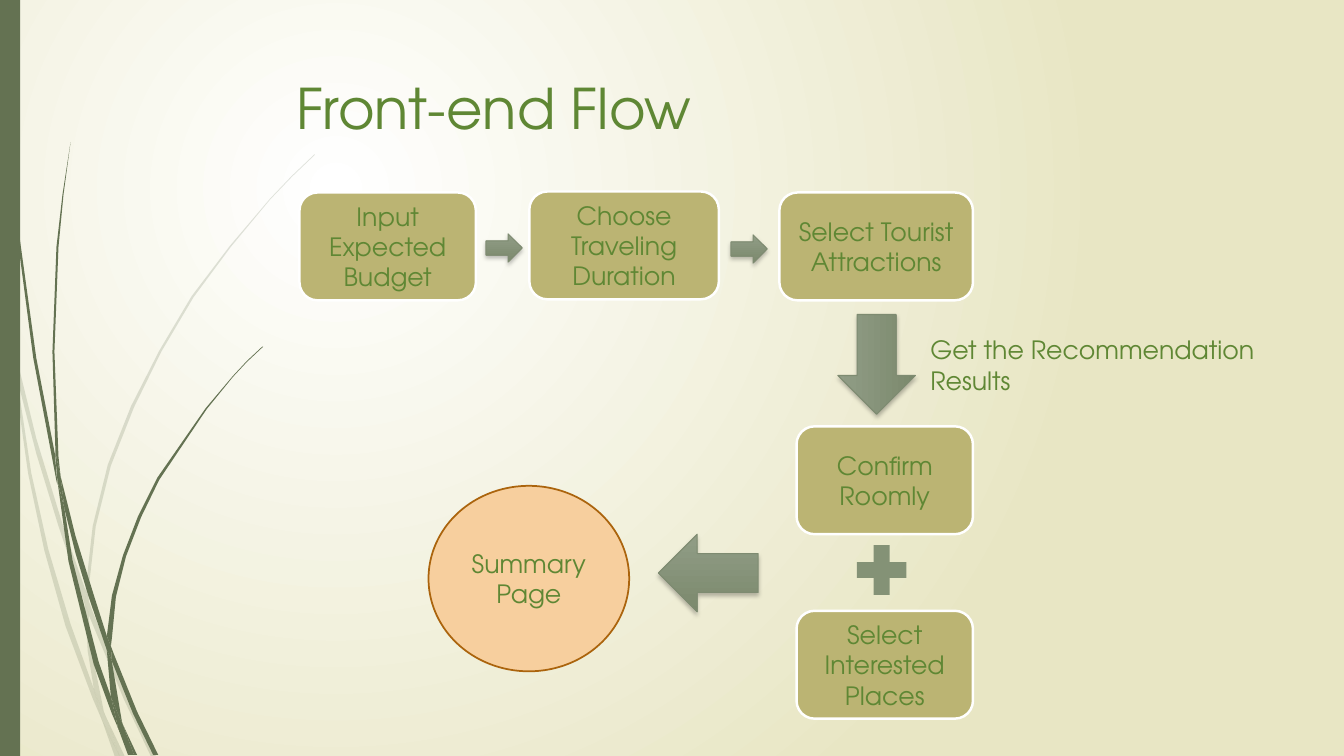
from lxml import etree
from pptx import Presentation
from pptx.dml.color import RGBColor
from pptx.enum.shapes import MSO_SHAPE
from pptx.enum.text import MSO_ANCHOR, PP_ALIGN
from pptx.oxml import parse_xml
from pptx.oxml.ns import nsdecls, qn
from pptx.util import Inches, Pt

ROUNDED = MSO_SHAPE.ROUNDED_RECTANGLE
RIGHT, DOWN, LEFT = MSO_SHAPE.RIGHT_ARROW, MSO_SHAPE.DOWN_ARROW, MSO_SHAPE.LEFT_ARROW
FONT = "TeX Gyre Adventor"
COLORS = {
    "center": "FFFFFF", "edge": "E8E6C4", "grass": "647252", "text": "5F8734",
    "step": "BBB473", "step_line": "FFFFFF", "plus": "849276",
    "arrow_light": "919D86", "arrow_dark": "7B896D", "arrow_line": "7E8B71",
    "summary": "F7CF9E", "summary_line": "AB640D",
}

# Outlines of the pieces of grass, as x y pairs in inches.
PALE_GRASS = [
    "0.11 3.5, 0.09 3.22, 0 2.82, 0 2.99, 0.1 3.44",
    "0.58 5.22, 0.84 5.99, 0.85 5.86, 0.62 5.2, 0.36 4.35, 0.14 3.45, 0.17 3.76, 0.36 4.5",
    "0.92 6.07, 0.88 5.96, 0.88 6.1, 1.23 6.94, 1.5 7.51, 1.55 7.51, 1.27 6.92",
    "1.19 7.51, 1.24 7.51, 1.05 7.11",
    "0.93 6.83, 0.7 6.19, 0.48 5.45, 0.31 4.69, 0.17 3.76, 0.11 3.5, 0.28 4.7, 0.44 5.46, "
    "0.65 6.21, 0.92 6.93, 1.01 7.14, 0.99 7.07",
    "0.84 5.99, 0.87 6.46, 0.93 6.83, 0.96 6.92, 1.05 7.11, 1.03 7.06, 0.91 6.46, "
    "0.88 6.1, 0.88 6.08",
    "0.88 5.84, 0.95 5.22, 1.1 4.62, 1.33 4.04, 1.6 3.49, 1.92 2.95, 2.29 2.45, 2.68 1.98, "
    "2.9 1.75, 3.12 1.54, 3.12 1.53, 2.89 1.75, 2.68 1.97, 2.28 2.44, 1.9 2.94, 1.58 3.48, "
    "1.3 4.03, 1.07 4.61, 0.92 5.22, 0.85 5.84, 0.85 5.86, 0.88 5.96",
    "1.01 7.14, 1.14 7.51, 1.19 7.51",
    "0.88 6.08, 0.88 6.1, 0.88 5.96, 0.85 5.86, 0.84 5.99",
    "0.96 6.92, 0.93 6.83, 0.99 7.07, 1.01 7.14, 1.19 7.51, 1.05 7.11",
]
DARK_GRASS = [
    "0.07 1.1, 0.17 2.33, 0.33 3.55, 0.56 4.77, 0.57 4.81, 0.55 4.57, 0.55 4.53, "
    "0.36 3.55, 0.19 2.32, 0.08 1.09, 0.05 0.48, 0.04 0, 0.03 0, 0.04 0.48",
    "0.88 5.92, 1.06 6.45, 1.06 6.33, 1.06 6.31, 0.93 5.9, 0.75 5.32, 0.6 4.72, "
    "0.64 5.05, 0.75 5.49",
    "1.13 6.49, 1.1 6.41, 1.11 6.56, 1.32 7.08, 1.52 7.49, 1.57 7.49, 1.36 7.06",
    "1.1 6.91, 0.98 6.57, 0.72 5.56, 0.64 5.05, 0.57 4.77, 0.68 5.57, 0.93 6.59, "
    "1.11 7.08, 1.17 7.22, 1.16 7.17",
    "0.6 4.72, 0.58 4.53, 0.54 3.49, 0.58 2.45, 0.63 1.93, 0.7 1.41, 0.62 1.93, "
    "0.56 2.45, 0.52 3.49, 0.55 4.49",
    "1.33 7.49, 1.36 7.49, 1.22 7.19",
    "0.57 4.77, 0.64 5.05, 0.6 4.72, 0.55 4.49, 0.55 4.53",
    "1.11 6.33, 1.15 5.92, 1.25 5.52, 1.4 5.13, 1.58 4.76, 2.05 4.06, 2.31 3.74, "
    "2.45 3.59, 2.61 3.44, 2.6 3.44, 2.45 3.58, 2.31 3.73, 2.04 4.05, 1.56 4.74, "
    "1.37 5.12, 1.22 5.51, 1.11 5.91, 1.06 6.31, 1.1 6.41",
    "1.17 7.22, 1.27 7.49, 1.31 7.49",
    "1.06 6.45, 1.1 6.91, 1.16 7.06, 1.22 7.19, 1.21 7.16, 1.11 6.56, 1.09 6.51",
    "1.06 6.45, 1.09 6.51, 1.11 6.56, 1.1 6.41, 1.06 6.31, 1.06 6.33",
    "1.16 7.06, 1.1 6.91, 1.16 7.17, 1.17 7.22, 1.3 7.49, 1.33 7.49, 1.22 7.19",
]

STEP_HEIGHT = 1.07
STEPS = [  # text, left, top, width
    ("Input Expected Budget", 2.97, 1.91, 1.75),
    ("Choose Traveling Duration", 5.25, 1.9, 1.88),
    ("Select Tourist Attractions", 7.73, 1.91, 1.92),
    ("Confirm Roomly", 7.9, 4.23, 1.75),
    ("Select Interested Places", 7.9, 6.06, 1.75),
]
ARROWS = [  # preset, box, gradient angle
    (RIGHT, (4.82, 2.32, 0.36, 0.28), 270),
    (RIGHT, (7.25, 2.33, 0.36, 0.28), 270),
    (DOWN, (8.31, 3.12, 0.77, 0.99), 0),
    (LEFT, (6.53, 5.3, 0.99, 0.77), 270),
]


def color(name):
    return RGBColor.from_string(COLORS[name])


def set_gradient(fill, first, last):
    fill.gradient()
    for stop, name, position in zip(fill.gradient_stops, (first, last), (0, 1)):
        stop.color.rgb = color(name)
        stop.position = position


def set_background(slide):
    """Fill the slide with a circular gradient centred at its upper left quarter."""
    set_gradient(slide.background.fill, "center", "edge")
    gradient = slide.element.find(".//" + qn("p:bgPr")).find(qn("a:gradFill"))
    gradient.replace(gradient.find(qn("a:lin")), parse_xml(
        f'<a:path {nsdecls("a")} path="circle">'
        '<a:fillToRect l="50000" t="50000" r="100000" b="100000"/></a:path>'))


def add_grass(slide, outline, alpha=None):
    points = [tuple(Inches(float(number)) for number in pair.split())
              for pair in outline.split(",")]
    builder = slide.shapes.build_freeform(*points[0])
    builder.add_line_segments(points[1:], close=True)
    grass = builder.convert_to_shape()
    paint(grass, "grass")
    if alpha:
        fill_color = grass.element.spPr.find(qn("a:solidFill"))[0]
        etree.SubElement(fill_color, qn("a:alpha"), val=str(alpha * 1000))


def paint(shape, fill, line=None, line_width=0):
    shape.shadow.inherit = False
    shape.fill.solid()
    shape.fill.fore_color.rgb = color(fill)
    set_line(shape, line, line_width)


def set_line(shape, line, line_width):
    if line:
        shape.line.color.rgb = color(line)
        shape.line.width = Pt(line_width)
    else:
        shape.line.fill.background()


def write(shape, text, size=18, align=PP_ALIGN.LEFT, anchor=MSO_ANCHOR.TOP):
    frame = shape.text_frame
    frame.text = text
    frame.word_wrap = True
    frame.vertical_anchor = anchor
    paragraph = frame.paragraphs[0]
    paragraph.alignment = align
    paragraph.font.name = FONT
    paragraph.font.size = Pt(size)
    paragraph.font.color.rgb = color("text")


def add_box(slide, preset, box, fill, line=None, line_width=0, text=None):
    shape = slide.shapes.add_shape(preset, *map(Inches, box))
    paint(shape, fill, line, line_width)
    if text:
        write(shape, text, align=PP_ALIGN.CENTER, anchor=MSO_ANCHOR.MIDDLE)


def add_arrow(slide, preset, box, angle):
    arrow = slide.shapes.add_shape(preset, *map(Inches, box))
    set_gradient(arrow.fill, "arrow_light", "arrow_dark")
    arrow.fill.gradient_angle = angle
    set_line(arrow, "arrow_line", 0.75)
    arrow.shadow.inherit = False
    arrow.element.spPr.find(qn("a:effectLst")).append(parse_xml(
        f'<a:outerShdw {nsdecls("a")} blurRad="{Pt(3)}" dist="{Pt(2)}" dir="5400000">'
        '<a:srgbClr val="000000"><a:alpha val="25000"/></a:srgbClr></a:outerShdw>'))


def add_title(slide, text):
    title = slide.shapes.title
    title.left, title.top, title.width, title.height = map(Inches, (2.84, 0.68, 9.75, 1.4))
    write(title, text, size=40)


def main():
    presentation = Presentation()
    presentation.slide_width = Inches(13.33)
    presentation.slide_height = Inches(7.5)
    slide = presentation.slides.add_slide(presentation.slide_layouts[5])
    set_background(slide)
    for outline in PALE_GRASS:
        add_grass(slide, outline, alpha=20)
    for outline in DARK_GRASS:
        add_grass(slide, outline)
    add_box(slide, MSO_SHAPE.RECTANGLE, (0, 0, 0.2, 7.5), "grass")
    add_title(slide, "Front-end Flow")
    for text, left, top, width in STEPS:
        add_box(slide, ROUNDED, (left, top, width, STEP_HEIGHT),
                "step", "step_line", 1.75, text)
    for preset, box, angle in ARROWS:
        add_arrow(slide, preset, box, angle)
    add_box(slide, MSO_SHAPE.MATH_PLUS, (8.41, 5.32, 0.67, 0.67), "plus")
    label = slide.shapes.add_textbox(*map(Inches, (9.13, 3.27, 3.73, 0.71)))
    write(label, "Get the Recommendation Results")
    add_box(slide, MSO_SHAPE.OVAL, (4.25, 4.82, 1.99, 1.84),
            "summary", "summary_line", 1.25, "Summary Page")
    presentation.save("out.pptx")


if __name__ == "__main__":
    main()
